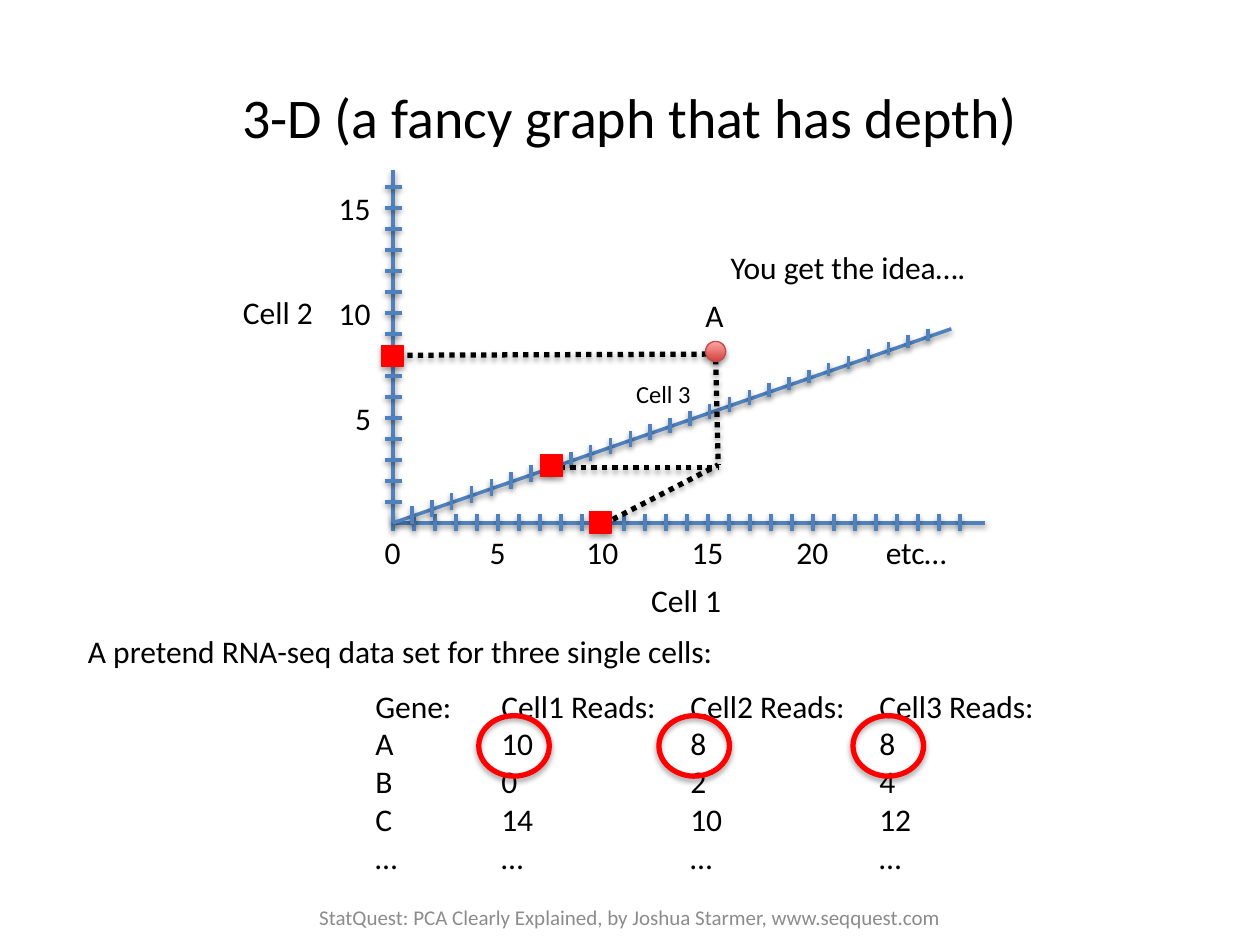
"""Build a slide showing a pretend RNA-seq data set on a three-axis graph."""
from lxml.etree import SubElement
from pptx import Presentation
from pptx.dml.color import RGBColor
from pptx.enum.dml import MSO_LINE_DASH_STYLE as Dash
from pptx.enum.shapes import MSO_CONNECTOR as Connector, MSO_SHAPE as Shape
from pptx.enum.text import MSO_ANCHOR as Anchor, MSO_AUTO_SIZE as AutoSize, PP_ALIGN as Align
from pptx.oxml.ns import qn
from pptx.util import Inches, Pt

BLACK = RGBColor(0x00, 0x00, 0x00)
GRAY = RGBColor(0x8C, 0x8C, 0x8C)
BLUE = RGBColor(0x4F, 0x81, 0xBD)
RED = RGBColor(0xFF, 0x00, 0x00)
DARK_RED = RGBColor(0xD1, 0x40, 0x3C)
LIGHT_RED = RGBColor(0xFF, 0xA6, 0xA5)
EDGE_RED = RGBColor(0xBF, 0x4C, 0x48)

WIDTH, HEIGHT = 10, 7.5
ORIGIN_X, ORIGIN_Y = 3.12, 4.15
UNIT = 1 / 6
TICK = 0.135
LINE_HEIGHT = 0.4
X_TICKS, Y_TICKS, DEPTH_TICKS = 28, 16, 27
DEPTH_STEP_X, DEPTH_STEP_Y = 0.1575, 0.0543
X_END, Y_END, DEPTH_END = (7.82, ORIGIN_Y), (ORIGIN_X, 1.35), (7.55, 2.61)

TITLE = "3-D (a fancy graph that has depth)"
FOOTER = "StatQuest: PCA Clearly Explained, by Joshua Starmer, www.seqquest.com"
X_LABELS = [("0", 0, 0.33), ("5", 5, 0.33), ("10", 10, 0.46),
            ("15", 15, 0.46), ("20", 20, 0.46), ("etc…", 25, 0.71)]
Y_LABELS = [("5", 5, 0.33), ("10", 10, 0.46), ("15", 15, 0.46)]
LABELS = [
    ("Cell 2", (1.83, 2.28, 0.76, LINE_HEIGHT), 18),
    ("Cell 1", (5.07, 4.56, 0.76, LINE_HEIGHT), 18),
    ("Cell 3", (4.95, 2.96, 0.64, 0.34), 14),
    ("A pretend RNA-seq data set for three single cells:", (0.6, 4.97, 5.24, LINE_HEIGHT), 18),
    ("A", (5.5, 2.3, 0.35, LINE_HEIGHT), 18),
    ("You get the idea….", (5.7, 1.92, 2.11, LINE_HEIGHT), 18),
]
READS = [
    ("Gene:", "Cell1 Reads:", "Cell2 Reads:", "Cell3 Reads:"),
    ("A", "10", "8", "8"),
    ("B", "0", "2", "4"),
    ("C", "14", "10", "12"),
    ("…", "…", "…", "…"),
]
READ_TABS = (1, 2.5, 4)
GUIDES = [
    ((4.36, 3.71), (5.7, 3.71)),
    ((4.79, 4.16), (5.7, 3.69)),
    ((3.15, 2.82), (5.75, 2.81)),
    ((5.68, 2.85), (5.7, 3.69)),
]
CIRCLE_LEFTS = (3.8, 5.23, 6.77)
MARKERS = [(4.68, 4.06), (3.03, 2.74), (4.29, 3.61)]


def set_values(target, values):
    for name, value in values.items():
        setattr(target, name, value)


def add_text(shapes, lines, box, size=18, color=BLACK, frame_values=None, align=None, tabs=()):
    frame = shapes.add_textbox(*map(Inches, box)).text_frame
    set_values(frame, frame_values or {"word_wrap": False, "auto_size": AutoSize.SHAPE_TO_FIT_TEXT})
    for index, line in enumerate(lines):
        paragraph = frame.add_paragraph() if index else frame.paragraphs[0]
        if tabs:
            tab_list = SubElement(paragraph._p.get_or_add_pPr(), qn("a:tabLst"))
            for tab in tabs:
                SubElement(tab_list, qn("a:tab"), pos=str(Inches(tab)), algn="l")
        paragraph.alignment = align
        run = paragraph.add_run()
        run.text = line
        set_values(run.font, {"name": "Calibri", "size": Pt(size)})
        run.font.color.rgb = color


def add_line(shapes, start, end, color=BLUE, width=2, dash=None):
    line = shapes.add_connector(Connector.STRAIGHT, *map(Inches, (*start, *end))).line
    line.color.rgb = color
    set_values(line, {"width": Pt(width), "dash_style": dash})


def add_mark(shapes, kind, box, line_color, line_width, fill_color=None):
    mark = shapes.add_shape(kind, *map(Inches, box))
    mark.line.color.rgb = line_color
    mark.line.width = Pt(line_width)
    if fill_color is None:
        mark.fill.background()
    else:
        mark.fill.solid()
        mark.fill.fore_color.rgb = fill_color
    return mark


def add_axes(shapes):
    x_axis = shapes.add_group_shape().shapes
    add_line(x_axis, (ORIGIN_X, ORIGIN_Y), X_END)
    for index in range(X_TICKS):
        x = ORIGIN_X + index * UNIT
        add_line(x_axis, (x, ORIGIN_Y - TICK / 2), (x, ORIGIN_Y + TICK / 2))
    y_axis = shapes.add_group_shape().shapes
    add_line(y_axis, (ORIGIN_X, ORIGIN_Y), Y_END)
    for index in range(1, Y_TICKS + 1):
        y = ORIGIN_Y - index * UNIT
        add_line(y_axis, (ORIGIN_X - TICK / 2, y), (ORIGIN_X + TICK / 2, y))
    add_line(shapes, (ORIGIN_X, ORIGIN_Y), DEPTH_END)
    depth_ticks = shapes.add_group_shape().shapes
    for index in range(DEPTH_TICKS):
        x, top = 3.27 + index * DEPTH_STEP_X, 4.02 - index * DEPTH_STEP_Y
        length = 0.14 - 0.04 * index / (DEPTH_TICKS - 1)
        add_line(depth_ticks, (x, top), (x, top + length))


def add_labels(shapes):
    for text, value, width in X_LABELS:
        left = ORIGIN_X + value * UNIT - width / 2
        add_text(shapes, [text], (left, 4.18, width, LINE_HEIGHT))
    for text, value, width in Y_LABELS:
        top = ORIGIN_Y - value * UNIT - LINE_HEIGHT / 2
        add_text(shapes, [text], (3.05 - width, top, width, LINE_HEIGHT))
    for text, box, size in LABELS:
        add_text(shapes, [text], box, size)


def add_points(shapes):
    for start, end in GUIDES:
        add_line(shapes, start, end, BLACK, 3, Dash.ROUND_DOT)
    point = add_mark(shapes, Shape.OVAL, (5.6, 2.71, 0.16, 0.16), EDGE_RED, 0.75)
    point.fill.gradient()
    point.fill.gradient_angle = 90
    for stop, color, position in zip(point.fill.gradient_stops, (DARK_RED, LIGHT_RED), (0, 1)):
        stop.color.rgb = color
        stop.position = position
    for left in CIRCLE_LEFTS:
        add_mark(shapes, Shape.OVAL, (left, 5.68, 0.56, 0.48), RED, 3)
    for left, top in MARKERS:
        add_mark(shapes, Shape.RECTANGLE, (left, top, 0.17, 0.17), RED, 0.75, RED)


def main():
    presentation = Presentation()
    set_values(presentation, {"slide_width": Inches(WIDTH), "slide_height": Inches(HEIGHT)})
    shapes = presentation.slides.add_slide(presentation.slide_layouts[6]).shapes
    centered = {"word_wrap": True, "vertical_anchor": Anchor.MIDDLE}
    add_text(shapes, [TITLE], (0.5, 0.3, 9, 1.25), 32, BLACK, centered, Align.CENTER)
    add_axes(shapes)
    add_labels(shapes)
    add_text(shapes, ["\t".join(row) for row in READS], (2.88, 5.4, 6.05, 1.92), tabs=READ_TABS)
    add_points(shapes)
    add_text(shapes, [FOOTER], (1.88, 7.08, 6.24, LINE_HEIGHT), 12, GRAY, centered, Align.CENTER)
    presentation.save("out.pptx")


if __name__ == "__main__":
    main()
